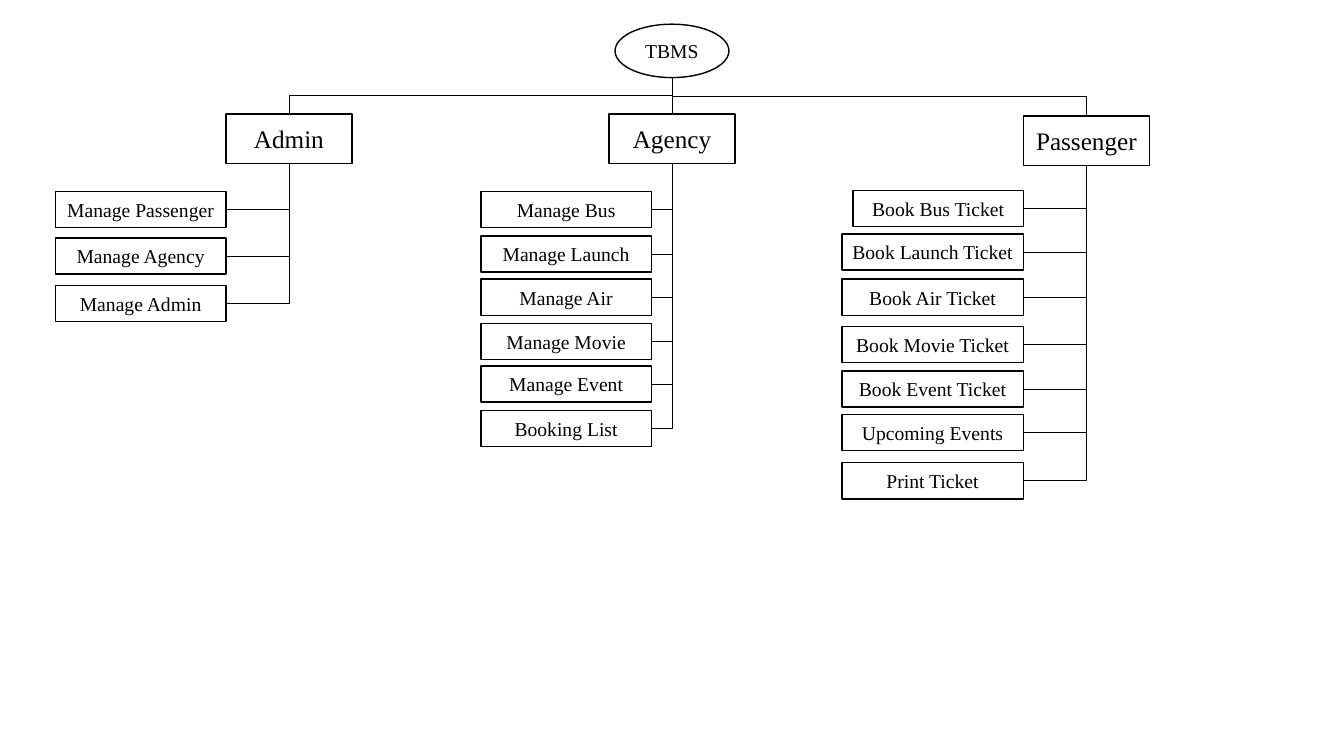
import pptx
import pptx.dml.color
import pptx.enum.shapes
import pptx.enum.text
import pptx.oxml.ns
import pptx.util
from lxml import etree
from pptx.util import Inches

FONT = "Times New Roman"
BLACK = "000000"
WHITE = "FFFFFF"
SHAPES = pptx.enum.shapes.MSO_SHAPE
BOTTOM, RIGHT, TOP = 2, 3, 0      # connection sites of a rectangle
ELLIPSE_BOTTOM = 4

ROLE_WIDTH, ROLE_HEIGHT = 1.25, 0.49
ITEM_HEIGHT = 0.36

# Role, left and top of its box, right edge of its items, items as (text, top, width)
ROLES = [
    ("Admin", 2.24, 1.13, 2.24, [
        ("Manage Passenger", 1.9, 1.69),
        ("Manage Agency", 2.36, 1.69),
        ("Manage Admin", 2.83, 1.69),
    ]),
    ("Agency", 6.04, 1.13, 6.46, [
        ("Manage Bus", 1.9, 1.69),
        ("Manage Launch", 2.34, 1.69),
        ("Manage Air", 2.77, 1.69),
        ("Manage Movie", 3.21, 1.69),
        ("Manage Event", 3.63, 1.69),
        ("Booking List", 4.07, 1.69),
    ]),
    ("Passenger", 10.15, 1.15, 10.15, [
        ("Book Bus Ticket", 1.89, 1.69),
        ("Book Launch Ticket", 2.32, 1.8),
        ("Book Air Ticket", 2.77, 1.8),
        ("Book Movie Ticket", 3.24, 1.8),
        ("Book Event Ticket", 3.68, 1.8),
        ("Upcoming Events", 4.11, 1.8),
        ("Print Ticket", 4.59, 1.8),
    ]),
]


def color(value):
    return pptx.dml.color.RGBColor.from_string(value)


def write_text(box, text, size=14, font=FONT, ink=BLACK):
    frame = box.text_frame
    frame.word_wrap = True
    frame.margin_left = frame.margin_right = Inches(0.05)
    frame.vertical_anchor = pptx.enum.text.MSO_ANCHOR.MIDDLE
    para = frame.paragraphs[0]
    para.alignment = pptx.enum.text.PP_ALIGN.CENTER
    span = para.add_run()
    span.text = text
    span.font.name = font
    span.font.size = pptx.util.Pt(size)
    span.font.color.rgb = color(ink)


def add_node(page, text, left, top, width, height, kind=SHAPES.RECTANGLE, size=14):
    box = page.shapes.add_shape(
        kind, Inches(left), Inches(top), Inches(width), Inches(height))
    box.shadow.inherit = False
    box.fill.solid()
    box.fill.fore_color.rgb = color(WHITE)
    box.line.color.rgb = color(BLACK)
    box.line.width = pptx.util.Pt(1)
    write_text(box, text, size=size)
    return box


def add_elbow(page, parent, child, site):
    """Join the bottom of parent to the top or right side of child."""
    start_x, start_y = parent.left + parent.width // 2, parent.top + parent.height
    if site == TOP:
        end_x, end_y = child.left + child.width // 2, child.top
    else:
        end_x, end_y = child.left + child.width, child.top + child.height // 2

    elbow = page.shapes.add_connector(
        pptx.enum.shapes.MSO_CONNECTOR.ELBOW, start_x, start_y, end_x, end_y)
    elbow.begin_connect(parent, BOTTOM)
    elbow.end_connect(child, site)
    if parent.auto_shape_type == SHAPES.OVAL:
        start = elbow._element.find(".//" + pptx.oxml.ns.qn("a:stCxn"))
        start.set("idx", str(ELLIPSE_BOTTOM))

    # A quarter turn makes the line leave downwards, so width and height swap
    drop, reach = end_y - start_y, abs(end_x - start_x)
    elbow.left = (start_x + end_x - drop) // 2
    elbow.top = (start_y + end_y - reach) // 2
    elbow.width, elbow.height = drop, reach
    properties = elbow._element.spPr
    frame = properties.find(pptx.oxml.ns.qn("a:xfrm"))
    for name in ("flipH", "flipV"):
        frame.attrib.pop(name, None)
    to_right = end_x > start_x
    frame.set("rot", str((270 if to_right else 90) * 60000))
    if to_right:
        frame.set("flipH", "1")
    if site == RIGHT:
        properties.find(pptx.oxml.ns.qn("a:prstGeom")).set("prst", "bentConnector2")

    elbow.line.color.rgb = color(BLACK)
    elbow.line.width = pptx.util.Pt(0.5)
    etree.SubElement(properties, pptx.oxml.ns.qn("a:effectLst"))


def main():
    deck = pptx.Presentation()
    deck.slide_width, deck.slide_height = Inches(13.33), Inches(7.5)
    page = deck.slides.add_slide(deck.slide_layouts[6])

    # System at the top
    system = add_node(page, "TBMS", 6.1, 0.24, 1.13, 0.53, kind=SHAPES.OVAL)

    # Roles, each with its column of functions
    for role, left, top, right_edge, items in ROLES:
        role_box = add_node(page, role, left, top, ROLE_WIDTH, ROLE_HEIGHT, size=18)
        add_elbow(page, system, role_box, TOP)
        for text, item_top, width in items:
            item_box = add_node(
                page, text, right_edge - width, item_top, width, ITEM_HEIGHT)
            add_elbow(page, role_box, item_box, RIGHT)

    deck.save("out.pptx")


main()
